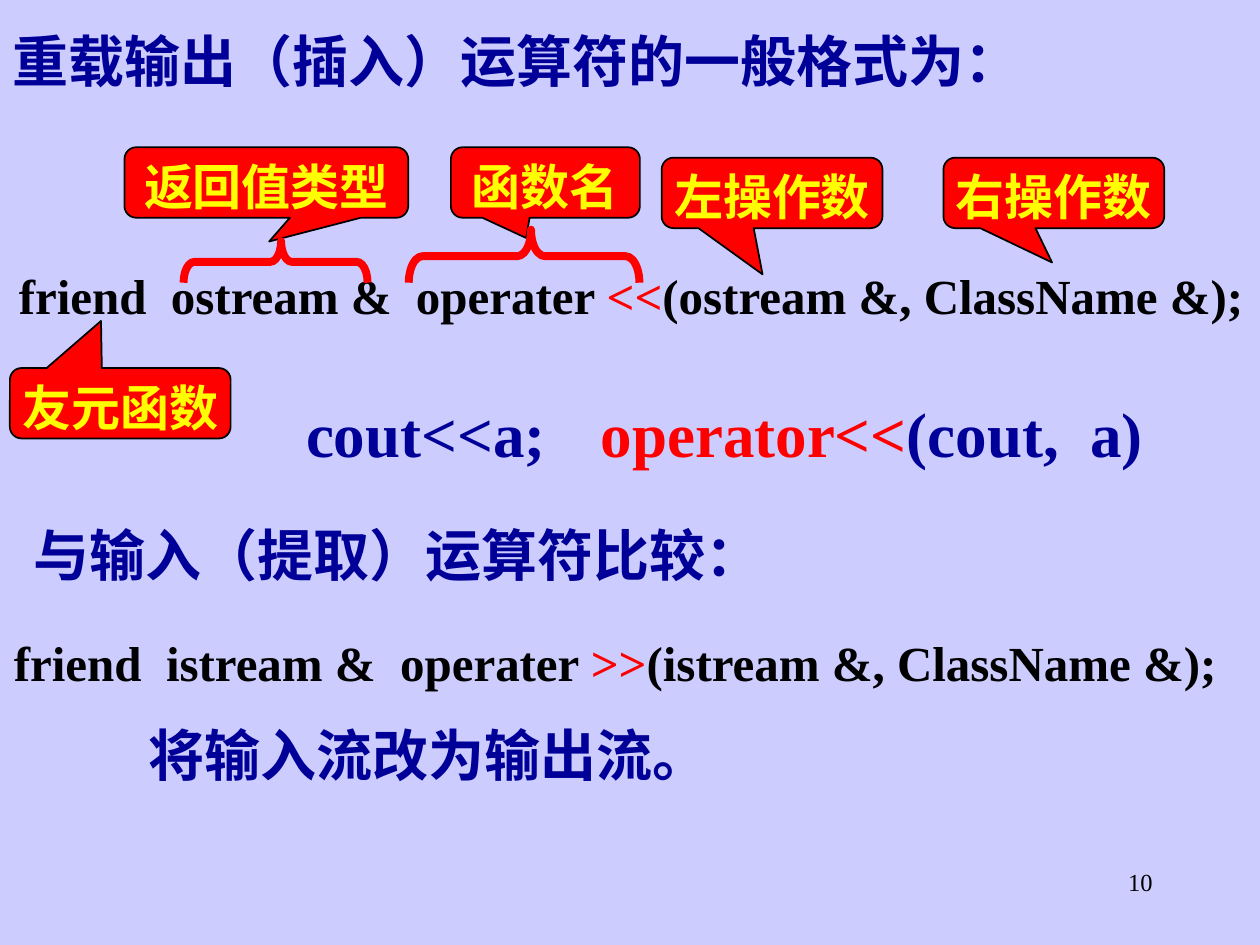
from pptx import Presentation
from pptx.dml.color import RGBColor
from pptx.enum.shapes import MSO_SHAPE
from pptx.enum.text import MSO_ANCHOR, MSO_AUTO_SIZE, PP_ALIGN
from pptx.util import Cm, Pt

CALLOUT = MSO_SHAPE.ROUNDED_RECTANGULAR_CALLOUT
BRACE = MSO_SHAPE.LEFT_BRACE
TOP = MSO_ANCHOR.TOP
CENTER, LEFT, RIGHT = PP_ALIGN.CENTER, PP_ALIGN.LEFT, PP_ALIGN.RIGHT

FONT = "Times New Roman"
COLORS = {
    "background": "CCCCFF",
    "navy": "000099",
    "red": "FF0000",
    "yellow": "FFFF00",
    "black": "000000",
}
LABEL_HEIGHT = 1.42


def color(name):
    return RGBColor.from_string(COLORS[name])


def write(frame, spans, size, bold=True, align=LEFT, spacing=1.0):
    """Fill the frame's first paragraph with (text, color name) spans."""
    para = frame.paragraphs[0]
    para.alignment = align
    para.line_spacing = spacing
    for text, tint in spans:
        span = para.add_run()
        span.text = text
        span.font.name = FONT
        span.font.size = Pt(size)
        span.font.bold = bold
        span.font.color.rgb = color(tint)


def add_text(page, box, spans, size, wrap=True, **style):
    frame = page.shapes.add_textbox(*map(Cm, box)).text_frame
    frame.word_wrap = wrap
    frame.auto_size = MSO_AUTO_SIZE.NONE
    write(frame, spans, size, **style)


def add_callout(page, box, text, tail):
    """Draw a label whose tail is given as fractions from its centre."""
    label = page.shapes.add_shape(CALLOUT, *map(Cm, box))
    label.shadow.inherit = False
    label.adjustments[0], label.adjustments[1] = tail
    label.fill.solid()
    label.fill.fore_color.rgb = color("red")
    label.line.color.rgb = color("black")
    label.line.width = Pt(1)
    frame = label.text_frame
    frame.word_wrap = True
    frame.vertical_anchor = TOP
    frame.margin_left = frame.margin_right = Cm(0.05)
    frame.margin_top = frame.margin_bottom = 0
    write(frame, [(text, "yellow")], 28, align=CENTER, spacing=1.1)


def add_brace(page, box):
    """Draw a brace pointing up that spans the given box."""
    left, top, width, height = box
    brace = page.shapes.add_shape(
        BRACE,
        Cm(left + (width - height) / 2),
        Cm(top + (height - width) / 2),
        Cm(height),
        Cm(width),
    )
    brace.rotation = 90
    brace.adjustments[0], brace.adjustments[1] = 0.26, 0.47
    brace.shadow.inherit = False
    brace.fill.background()
    brace.line.color.rgb = color("red")
    brace.line.width = Pt(4.5)


def add_prototype(page, box, stream, operator):
    spans = [
        (f"friend  {stream} &  operater ", "black"),
        (operator, "red"),
        (f"({stream} &, ClassName &);", "black"),
    ]
    add_text(page, box, spans, 28, wrap=False, spacing=1.3)


def add_annotated_prototype(page, box):
    left, top, width, _ = box
    labels = [
        ("友元函数", 0.2, 4.45, 4.45, (-0.087, -1.169)),
        ("返回值类型", 2.51, 0, 5.72, (0.01, 0.838)),
        ("函数名", 9.09, 0, 3.81, (-0.102, 0.788)),
        ("左操作数", 13.34, 0.21, 4.45, (-0.043, 1.157)),
        ("右操作数", 19.02, 0.21, 4.45, (-0.008, 0.988)),
    ]
    for text, x, y, label_width, tail in labels:
        label_box = (left + x, top + y, label_width, LABEL_HEIGHT)
        add_callout(page, label_box, text, tail)
    add_prototype(page, (left + 0.13, top + 1.91, width - 0.15, 1.8), "ostream", "<<")
    add_brace(page, (left + 8.24, top + 1.66, 4.65, 1.07))
    add_brace(page, (left + 3.7, top + 1.89, 3.71, 0.84))


def add_call_example(page, box):
    left, top, width, height = box
    add_text(page, (left, top, 6.35, height), [("cout<<a;", "navy")], 36)
    call = [("operator<<", "red"), ("(cout,  a)", "navy")]
    add_text(page, (left + 5.94, top, width - 5.94, height), call, 36)


def add_comparison(page, box):
    left, top, _, _ = box
    heading = [("与输入（提取）运算符比较：", "navy")]
    add_text(page, (left + 0.43, top, 20.75, 1.63), heading, 32)
    add_prototype(page, (left + 0.03, top + 1.91, 24.79, 1.8), "istream", ">>")
    conclusion = [("将输入流改为输出流。", "navy")]
    add_text(page, (left + 2.74, top + 4.04, 13.77, 1.63), conclusion, 32)


def main():
    deck = Presentation()
    deck.slide_width, deck.slide_height = Cm(25.4), Cm(19.05)
    page = deck.slides.add_slide(deck.slide_layouts[6])
    page.background.fill.solid()
    page.background.fill.fore_color.rgb = color("background")

    title = [("重载输出（插入）运算符的一般格式为：", "navy")]
    add_text(page, (0, 0, 24.77, 2.03), title, 32, spacing=1.3)
    add_annotated_prototype(page, (0, 2.97, 25.4, 5.87))
    add_call_example(page, (5.92, 7.82, 18.01, 1.78))
    add_comparison(page, (0, 10.36, 25.4, 5.67))
    number = [("10", "black")]
    add_text(page, (18.21, 17.35, 5.28, 1.27), number, 14, bold=False, align=RIGHT)
    deck.save("out.pptx")


if __name__ == "__main__":
    main()
